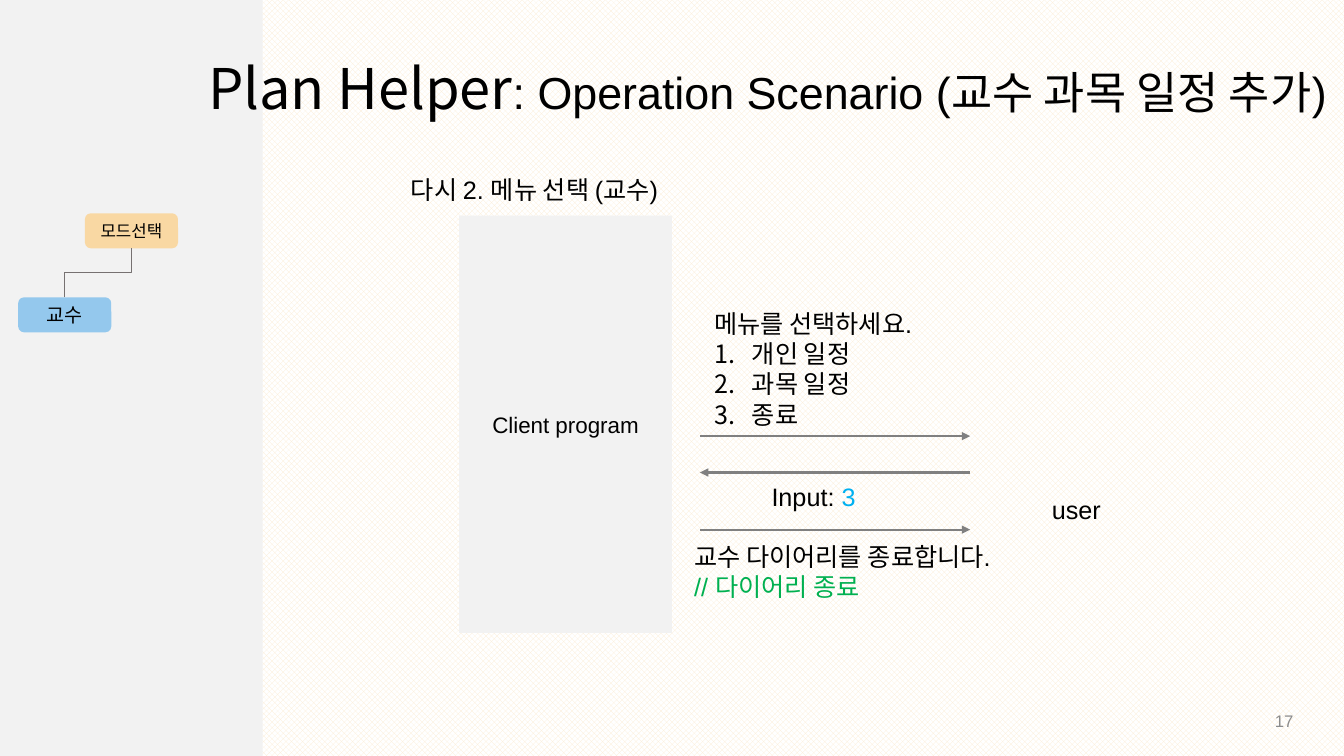
import pptx
import pptx.util
import pptx.dml.color
import pptx.enum.dml
import pptx.enum.shapes
import pptx.enum.text
import pptx.oxml
import pptx.oxml.ns

Pt = pptx.util.Pt
RGBColor = pptx.dml.color.RGBColor
SHAPE = pptx.enum.shapes.MSO_SHAPE
CONNECTOR = pptx.enum.shapes.MSO_CONNECTOR
ALIGN = pptx.enum.text.PP_ALIGN
ANCHOR = pptx.enum.text.MSO_ANCHOR
qn = pptx.oxml.ns.qn

BLACK = RGBColor(0x00, 0x00, 0x00)
WHITE = RGBColor(0xFF, 0xFF, 0xFF)
CREAM = RGBColor(0xFC, 0xEB, 0xD1)
PANEL = RGBColor(0xF2, 0xF2, 0xF2)
ORANGE = RGBColor(0xF9, 0xD8, 0xA3)
BLUE = RGBColor(0x94, 0xC8, 0xED)
INPUT_BLUE = RGBColor(0x00, 0xB0, 0xF0)
GREEN = RGBColor(0x00, 0xB0, 0x50)
ARROW_GRAY = RGBColor(0x80, 0x80, 0x80)
LINK_GRAY = RGBColor(0x76, 0x71, 0x71)
PAGE_GRAY = RGBColor(0x8C, 0x8C, 0x8C)
LATIN = "Arial"
KOREAN = "Noto Sans CJK KR"


def add_drawing(parent, tag, **attrs):
    """Append an element of the DrawingML namespace."""
    el = pptx.oxml.parse_xml(f"<a:{tag} {pptx.oxml.ns.nsdecls('a')}/>")
    for name, value in attrs.items():
        el.set(name, value)
    parent.append(el)


def add_run(p, text, size=18, color=BLACK, font=LATIN):
    r = p.add_run()
    r.text = text
    r.font.size = Pt(size)
    r.font.name = font
    r.font.color.rgb = color
    add_drawing(r._r.get_or_add_rPr(), "ea", typeface=KOREAN)


def number(p):
    pPr = p._p.get_or_add_pPr()
    pPr.set("marL", str(Pt(27)))
    pPr.set("indent", str(-Pt(27)))
    add_drawing(pPr, "buFont", typeface="+mj-lt")
    add_drawing(pPr, "buAutoNum", type="arabicPeriod")


def add_text(s, x, y, w, h, paragraphs, align=ALIGN.LEFT, anchor=ANCHOR.TOP,
             wrap=True, spacing=None, numbered_from=None):
    """Each paragraph is a list of (text, format) runs."""
    tf = s.shapes.add_textbox(Pt(x), Pt(y), Pt(w), Pt(h)).text_frame
    tf.word_wrap = wrap
    tf.vertical_anchor = anchor
    for i, runs in enumerate(paragraphs):
        p = tf.add_paragraph() if i else tf.paragraphs[0]
        p.alignment = align
        if spacing:
            p.line_spacing = spacing
        if numbered_from is not None and i >= numbered_from:
            number(p)
        for text, fmt in runs:
            add_run(p, text, **fmt)


def add_block(s, kind, x, y, w, h, fill, text="", size=18):
    sp = s.shapes.add_shape(kind, Pt(x), Pt(y), Pt(w), Pt(h))
    sp.shadow.inherit = False
    sp.fill.solid()
    sp.fill.fore_color.rgb = fill
    sp.line.fill.background()
    if text:
        tf = sp.text_frame
        tf.vertical_anchor = ANCHOR.MIDDLE
        p = tf.paragraphs[0]
        p.alignment = ALIGN.CENTER
        add_run(p, text, size=size)


def add_line(s, kind, x1, y1, x2, y2, color, width):
    line = s.shapes.add_connector(kind, Pt(x1), Pt(y1), Pt(x2), Pt(y2))
    line.line.color.rgb = color
    line.line.width = Pt(width)
    add_drawing(line._element.spPr, "effectLst")
    return line


def add_arrow(s, x1, x2, y):
    arrow = add_line(s, CONNECTOR.STRAIGHT, x1, y, x2, y, ARROW_GRAY, 1.5)
    add_drawing(arrow._element.spPr.find(qn("a:ln")), "tailEnd", type="triangle")


def add_tree_link(s, x1, y1, x2, y2):
    """Elbow that leaves and arrives vertically: a quarter-turned connector."""
    cx, cy = (x1 + x2) / 2, (y1 + y2) / 2
    dx, dy = abs(y2 - y1) / 2, abs(x2 - x1) / 2
    link = add_line(s, CONNECTOR.ELBOW, cx + dx, cy + dy, cx - dx, cy - dy,
                    LINK_GRAY, 0.5)
    link._element.spPr.find(qn("a:xfrm")).set("rot", str(90 * 60000))


def main():
    prs = pptx.Presentation()
    prs.slide_width, prs.slide_height = Pt(960), Pt(540)
    s = prs.slides.add_slide(prs.slide_layouts[6])
    bg = s.background.fill
    bg.patterned()
    bg.pattern = pptx.enum.dml.MSO_PATTERN.from_xml("openDmnd")
    bg.fore_color.rgb = CREAM
    bg.back_color.rgb = WHITE

    add_block(s, SHAPE.RECTANGLE, -9.4, 0, 197, 579.6, PANEL)
    add_block(s, SHAPE.RECTANGLE, 328, 154, 152, 298, PANEL, "Client program", 16)
    add_text(s, 101.5, 13, 853.2, 104.4,
             [[("Plan Helper", {"size": 40, "font": KOREAN}),
               (": Operation Scenario (교수 과목 일정 추가)", {"size": 32})]],
             align=ALIGN.RIGHT, anchor=ANCHOR.MIDDLE, spacing=0.9)

    add_block(s, SHAPE.ROUNDED_RECTANGLE, 60.7, 152.4, 66.5, 25, ORANGE, "모드선택", 12)
    add_block(s, SHAPE.ROUNDED_RECTANGLE, 13, 212.4, 66.5, 25, BLUE, "교수", 14)
    add_tree_link(s, 94, 177.4, 46.2, 212.4)

    add_text(s, 286.4, 121, 193.6, 29, [[("다시 2. 메뉴 선택 (교수)", {})]])
    add_text(s, 744.3, 349.4, 50, 29, [[("user", {})]], wrap=False)
    add_text(s, 503, 216.7, 172, 94.5,
             [[(line, {})] for line in
              ("메뉴를 선택하세요.", "개인 일정", "과목 일정", "종료")],
             numbered_from=1)
    add_text(s, 544, 340, 104.4, 29, [[("Input: ", {}), ("3", {"color": INPUT_BLUE})]])
    add_text(s, 488.8, 383, 255.6, 51,
             [[("교수 다이어리를 종료합니다.", {})],
              [("// 다이어리 종료", {"color": GREEN})]])

    client_x, user_x = 500, 693
    add_arrow(s, client_x, user_x, 311.5)
    add_arrow(s, user_x, client_x, 337.5)
    add_arrow(s, client_x, user_x, 378.3)

    add_text(s, 715, 500.5, 216, 28.8, [[("17", {"size": 12, "color": PAGE_GRAY})]],
             align=ALIGN.RIGHT, anchor=ANCHOR.MIDDLE)
    prs.save("out.pptx")


if __name__ == "__main__":
    main()
